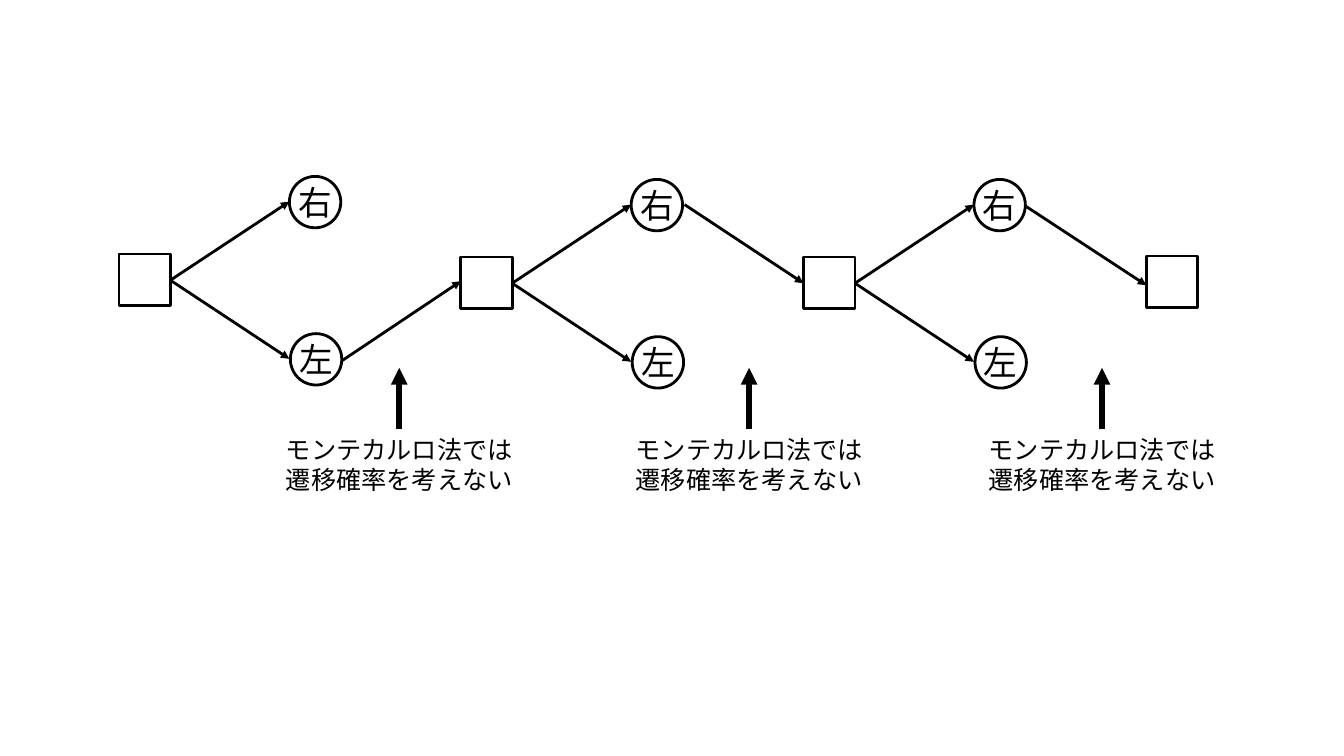
from lxml import etree
from pptx import Presentation
from pptx.dml.color import RGBColor
from pptx.enum.shapes import MSO_CONNECTOR, MSO_SHAPE
from pptx.enum.text import MSO_ANCHOR, PP_ALIGN
from pptx.oxml.ns import qn
from pptx.util import Pt

PX = 9144
BLACK = RGBColor(0, 0, 0)
FONT = "Noto Sans CJK JP"
STRAIGHT = MSO_CONNECTOR.STRAIGHT
RECTANGLE, OVAL = MSO_SHAPE.RECTANGLE, MSO_SHAPE.OVAL
CENTER, MIDDLE = PP_ALIGN.CENTER, MSO_ANCHOR.MIDDLE

NODE = 51
STATES = [(118, 252), (457, 255), (797, 255), (1137, 254)]
ACTIONS = [("右", 169, -77), ("左", 170, 79)]
TRANSITIONS = [(339, 358, 457, 279), (679, 203, 797, 281), (1018, 205, 1137, 283)]
CAPTION_LEFTS = [252, 599, 949]
CAPTION_TOP, CAPTION_WIDTH, CAPTION_HEIGHT = 426, 288, 71
POINTER_TOP = 365

presentation = Presentation()
presentation.slide_width = 1333 * PX
presentation.slide_height = 750 * PX
slide = presentation.slides.add_slide(presentation.slide_layouts[6])
shapes = slide.shapes


def add_arrow(x1, y1, x2, y2, width=2):
    arrow = shapes.add_connector(STRAIGHT, x1 * PX, y1 * PX, x2 * PX, y2 * PX)
    arrow.line.color.rgb = BLACK
    arrow.line.width = Pt(width)
    etree.SubElement(arrow.line._get_or_add_ln(), qn("a:tailEnd"), type="triangle")
    etree.SubElement(arrow._element.spPr, qn("a:effectLst"))


def write_text(shape, text, size):
    text_frame = shape.text_frame
    text_frame.text = text
    for paragraph in text_frame.paragraphs:
        paragraph.alignment = CENTER
        for run in paragraph.runs:
            run.font.size = Pt(size)
            run.font.color.rgb = BLACK
            run.font.name = FONT
            etree.SubElement(run.font._element, qn("a:ea"), typeface=FONT)


nodes = [(RECTANGLE, x, y, "") for x, y in STATES]
for x, y in STATES[:-1]:
    for action, dx, dy in ACTIONS:
        nodes.append((OVAL, x + dx, y + dy, action))
        add_arrow(x + NODE, y + 26, x + 169, y + dy + 25)

for kind, x, y, action in nodes:
    node = shapes.add_shape(kind, x * PX, y * PX, NODE * PX, NODE * PX)
    node.shadow.inherit = False
    node.fill.background()
    node.line.color.rgb = BLACK
    node.line.width = Pt(2)
    if action:
        write_text(node, action, 24)
        node.text_frame.word_wrap = False
        node.text_frame.vertical_anchor = MIDDLE

for transition in TRANSITIONS:
    add_arrow(*transition)

for left in CAPTION_LEFTS:
    caption = shapes.add_textbox(left * PX, CAPTION_TOP * PX, CAPTION_WIDTH * PX, CAPTION_HEIGHT * PX)
    write_text(caption, "モンテカルロ法では\n遷移確率を考えない", 18)
    caption.text_frame.word_wrap = True
    middle = left + CAPTION_WIDTH // 2
    add_arrow(middle, CAPTION_TOP, middle, POINTER_TOP, 4)

presentation.save("out.pptx")
